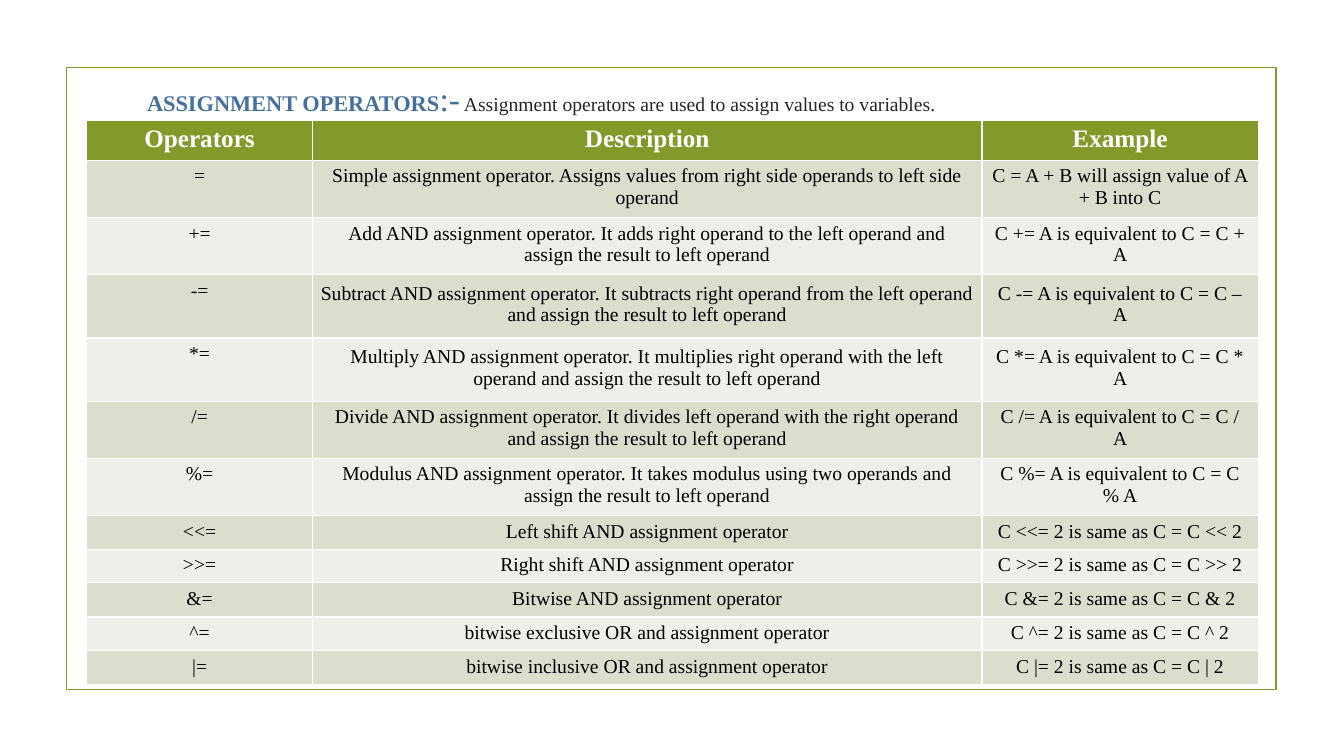
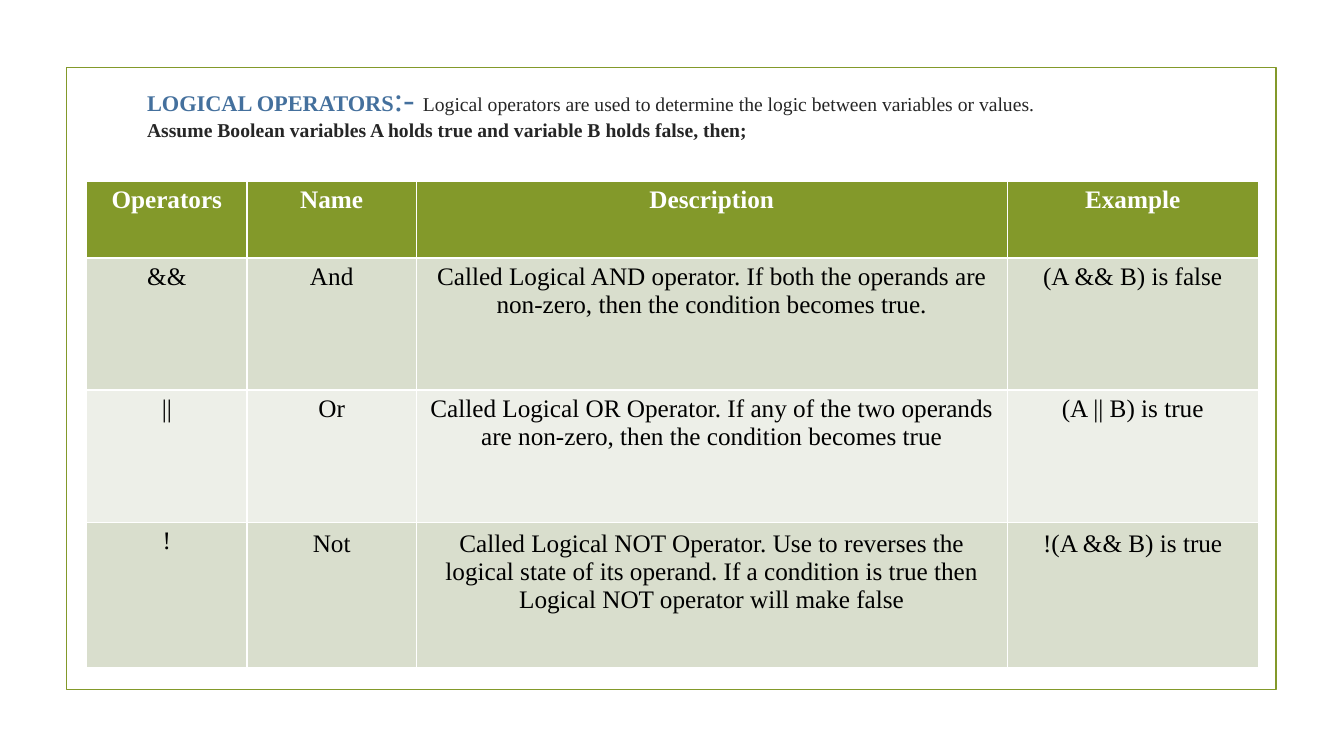
from pptx import Presentation
from pptx.dml.color import RGBColor
from pptx.enum.shapes import MSO_SHAPE
from pptx.enum.text import PP_ALIGN
from pptx.util import Pt

SCALE = 9144
GREEN = RGBColor(0x83, 0x99, 0x2A)
BLUE = RGBColor(0x44, 0x70, 0x9D)
DARK = RGBColor(0x26, 0x26, 0x26)
BLACK = RGBColor(0, 0, 0)
WHITE = RGBColor(255, 255, 255)
BANDS = (RGBColor(0xD9, 0xDE, 0xCD), RGBColor(0xED, 0xEF, 0xE8))
FONT = "Times New Roman"

FRAME = (66, 67, 1200, 617)
INTRO = (86, 72, 1162, 607)
INDENT = 50
DEEP = 8

TITLE = {"size": Pt(16), "bold": True}
MARK = {"size": Pt(24), "bold": False}
PLAIN = {"size": Pt(14), "bold": False}
STRONG = {"size": Pt(14), "bold": True}
HEAD = {"size": Pt(18), "bold": True}
LARGE = {"size": Pt(18), "bold": False}

ASSIGN = [
    ("Operators", "Description", "Example"),
    ("=", "Simple assignment operator. Assigns values from right side operands to left side operand",
     "C = A + B will assign value of A + B into C"),
    ("+=", "Add AND assignment operator. It adds right operand to the left operand and assign the result to left operand",
     "C += A is equivalent to C = C + A"),
    ("-=", "Subtract AND assignment operator. It subtracts right operand from the left operand and assign the result to left operand",
     "C -= A is equivalent to C = C – A"),
    ("*=", "Multiply AND assignment operator. It multiplies right operand with the left operand and assign the result to left operand",
     "C *= A is equivalent to C = C * A"),
    ("/=", "Divide AND assignment operator. It divides left operand with the right operand and assign the result to left operand",
     "C /= A is equivalent to C = C / A"),
    ("%=", "Modulus AND assignment operator. It takes modulus using two operands and assign the result to left operand",
     "C %= A is equivalent to C = C % A"),
    ("<<=", "Left shift AND assignment operator", "C <<= 2 is same as C = C << 2"),
    (">>=", "Right shift AND assignment operator", "C >>= 2 is same as C = C >> 2"),
    ("&=", "Bitwise AND assignment operator", "C &= 2 is same as C = C & 2"),
    ("^=", "bitwise exclusive OR and assignment operator", "C ^= 2 is same as C = C ^ 2"),
    ("|=", "bitwise inclusive OR and assignment operator", "C |= 2 is same as C = C | 2"),
]

LOGIC = [
    ("Operators", "Name", "Description", "Example"),
    ("&&", "And", "Called Logical AND operator. If both the operands are non-zero, then the condition becomes true.",
     "(A && B) is false"),
    ("||", "Or", "Called Logical OR Operator. If any of the two operands are non-zero, then the condition becomes true",
     "(A || B) is true"),
    ("!", "Not", "Called Logical NOT Operator. Use to reverses the logical state of its operand. If a condition is true then Logical NOT operator will make false",
     "!(A && B) is true"),
]


def px(*sizes):
    """Turn px lengths into EMU."""
    return [size * SCALE for size in sizes]


def write(para, text, look, color):
    """Add one styled run to a paragraph."""
    run = para.add_run()
    run.text = text
    run.font.name = FONT
    run.font.color.rgb = color
    for key, value in look.items():
        setattr(run.font, key, value)


def add_frame(slide, box):
    """Draw the green outline around the slide's content."""
    frame = slide.shapes.add_shape(MSO_SHAPE.RECTANGLE, *px(*box))
    frame.shadow.inherit = False
    frame.fill.background()
    frame.line.color.rgb = GREEN
    frame.line.width = Pt(1.25)


def add_intro(slide, box, title, mark, text, note):
    """Write the heading, its definition and an optional second line."""
    frame = slide.shapes.add_textbox(*px(*box)).text_frame
    frame.word_wrap = True
    para = frame.paragraphs[0]
    para.space_before, para.space_after = Pt(3), Pt(6)
    para._p.get_or_add_pPr().set("marL", str(INDENT * SCALE))
    write(para, title, TITLE, BLUE)
    write(para, mark, MARK, BLUE)
    write(para, text, PLAIN, DARK)
    if note:
        para.add_line_break()
        write(para, note, STRONG, DARK)


def add_grid(slide, spot, data, cols, rows, body, deep):
    """Place a banded table with its top left corner at the spot."""
    size = (sum(cols), sum(rows))
    grid = slide.shapes.add_table(len(rows), len(cols), *px(*spot, *size)).table
    for parts, side, spans in ((grid.columns, "width", cols), (grid.rows, "height", rows)):
        for part, span in zip(parts, px(*spans)):
            setattr(part, side, span)
    for i, line in enumerate(data):
        fill, look, ink = (BANDS[(i - 1) % 2], body, BLACK) if i else (GREEN, HEAD, WHITE)
        for j, text in enumerate(line):
            cell = grid.cell(i, j)
            cell.fill.solid()
            cell.fill.fore_color.rgb = fill
            if i in deep and j:
                for side in ("left", "top", "right", "bottom"):
                    setattr(cell, "margin_" + side, DEEP * SCALE)
            para = cell.text_frame.paragraphs[0]
            para.alignment = PP_ALIGN.CENTER
            write(para, text, look, ink)


def add_page(deck, intro, table):
    """Build one slide of operators."""
    slide = deck.slides.add_slide(deck.slide_layouts[6])
    add_frame(slide, FRAME)
    add_intro(slide, INTRO, *intro)
    add_grid(slide, *table)


def main():
    """Build and save the deck."""
    deck = Presentation()
    deck.slide_width, deck.slide_height = px(1333, 750)
    add_page(
        deck,
        ("ASSIGNMENT OPERATORS", ":-", " Assignment operators are used to assign values to variables.", ""),
        ((86, 119), ASSIGN, (224, 664, 274),
         (38, 53, 53, 59, 59, 53, 53, 31, 32, 34, 32, 31), PLAIN, (3, 4)),
    )
    add_page(
        deck,
        ("LOGICAL OPERATORS", ":- ", "Logical operators are used to determine the logic between variables or values.",
         "Assume Boolean variables A holds true and variable B holds false, then;"),
        ((86, 180), LOGIC, (159, 168, 586, 249), (76, 131, 131, 144), LARGE, (3,)),
    )
    deck.save("out.pptx")


if __name__ == "__main__":
    main()
